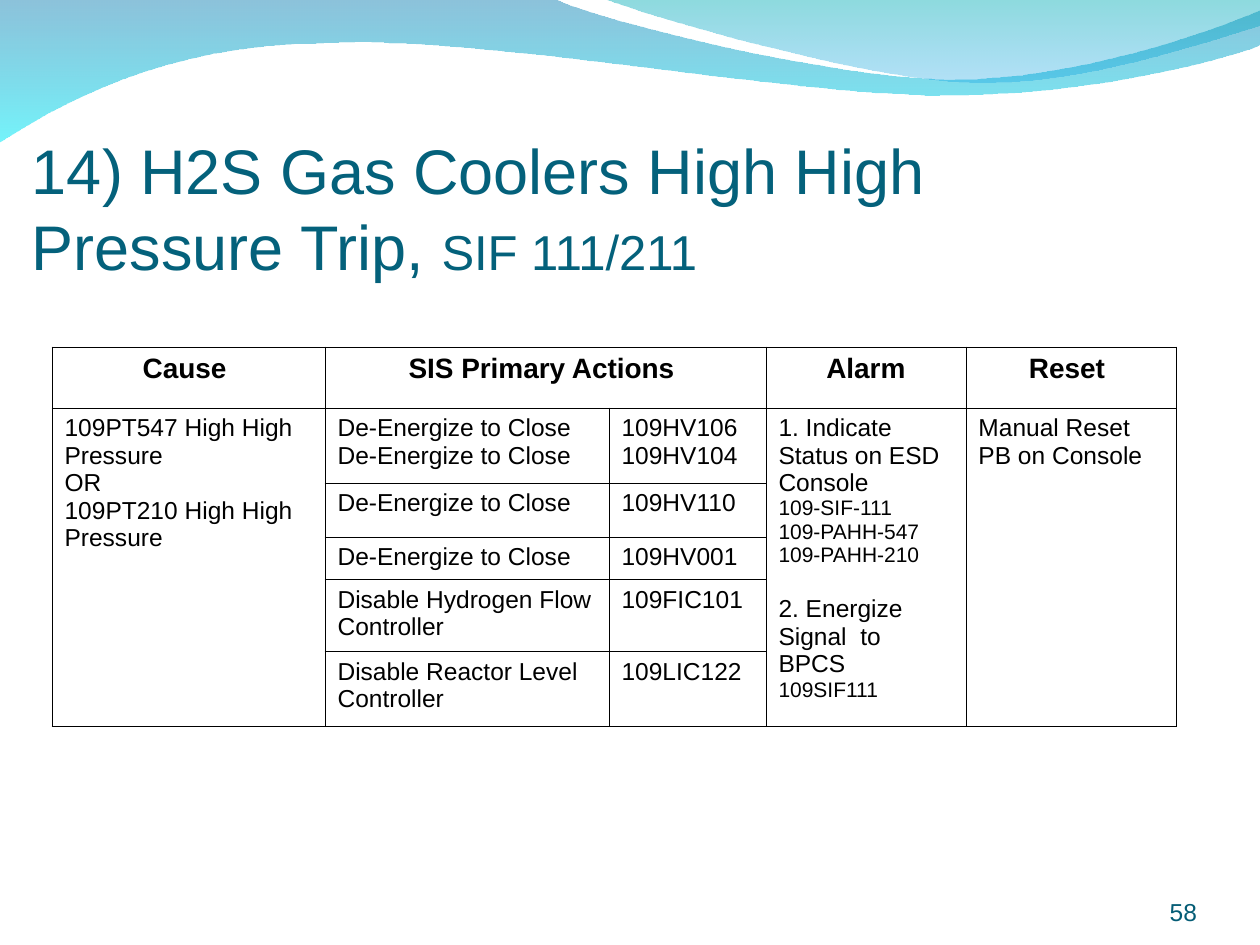
from lxml.etree import SubElement
from pptx import Presentation
from pptx.dml.color import RGBColor
from pptx.enum.text import MSO_ANCHOR, PP_ALIGN
from pptx.oxml.ns import qn
from pptx.util import Pt

EMU_PER_PX = 914400 / 126
TABLE_COLUMNS = [273, 284, 157, 200, 210]
TABLE_ROWS = [61, 75, 54, 43, 72, 75]
HEADERS = {0: "Cause ", 1: "SIS Primary Actions ", 3: "Alarm", 4: "Reset "}
CAUSES = ["109PT547 High High Pressure", "OR", "109PT210 High High Pressure"]
ACTIONS = [
    ("De-Energize to Close De-Energize to Close", ["109HV106", "109HV104"]),
    ("De-Energize to Close", ["109HV110"]),
    ("De-Energize to Close", ["109HV001"]),
    ("Disable Hydrogen Flow Controller", ["109FIC101"]),
    ("Disable Reactor Level Controller", ["109LIC122"]),
]
ALARMS = [
    ("1. Indicate Status on ESD Console", ["109-SIF-111", "109-PAHH-547", "109-PAHH-210"]),
    ("2. Energize Signal  to BPCS", ["109SIF111"]),
]
RESET = "Manual Reset PB on Console"

# Each wave is a start point, then lines (one point) and curves (three points).
LONG_WAVE = [
    [(0, -1)], [(554, -1)],
    [(600, 21), (837, 79), (955, 79)],
    [(1075, 79), (1207, 33), (1260, 11)],
    [(1261, 45)],
    [(1239, 55), (1096, 96), (940, 95)],
    [(784, 95), (481, 35), (324, 43)],
    [(163, 44), (58, 105), (-1, 142)],
]
RIGHT_WAVE = [
    [(604, -1)],
    [(641, 14), (859, 78), (969, 82)],
    [(1079, 87), (1211, 40), (1260, 26)],
    [(1260, 0)],
]


def px(length):
    return round(length * EMU_PER_PX)


def color(hex_string):
    return RGBColor.from_string(hex_string)


def bend_curves(wave, segments):
    """Turn the three lines of each curve segment into one cubic Bezier."""
    lines = iter(list(wave._element.iter(qn("a:lnTo"))))
    for segment in segments[1:]:
        sides = [next(lines) for _ in segment]
        if len(sides) == 3:
            curve = sides[0].makeelement(qn("a:cubicBezTo"), {})
            sides[0].addprevious(curve)
            for side in sides:
                curve.append(side[0])
                side.getparent().remove(side)


def add_wave(slide, segments, gradient):
    """Draw an outline filled from top to bottom with (hex, opacity %) stops."""
    points = [(px(x), px(y)) for segment in segments for x, y in segment]
    builder = slide.shapes.build_freeform(*points[0])
    builder.add_line_segments(points[1:], close=True)
    wave = builder.convert_to_shape()
    bend_curves(wave, segments)
    wave.shadow.inherit = False
    wave.line.fill.background()
    wave.fill.gradient()
    wave.fill.gradient_angle = 270
    for stop, position, (hex_string, _) in zip(wave.fill.gradient_stops, (0, 1), gradient):
        stop.position = position
        stop.color.rgb = color(hex_string)
    for tint, (_, opacity) in zip(wave._element.spPr.iter(qn("a:srgbClr")), gradient):
        SubElement(tint, qn("a:alpha"), val=str(opacity * 1000))


def style_run(run, size, hex_string, bold=False):
    run.font.name = "Arial"
    run.font.size = Pt(size)
    run.font.bold = bold
    run.font.color.rgb = color(hex_string)


def add_text(slide, box, runs, hex_string, align=PP_ALIGN.LEFT, top_inset=0):
    """Add one bottom-anchored paragraph made of (text, size) runs."""
    frame = slide.shapes.add_textbox(*map(px, box)).text_frame
    frame.word_wrap = True
    frame.vertical_anchor = MSO_ANCHOR.BOTTOM
    frame.margin_left = frame.margin_right = frame.margin_bottom = 0
    frame.margin_top = px(top_inset)
    paragraph = frame.paragraphs[0]
    paragraph.alignment = align
    for text, size in runs:
        run = paragraph.add_run()
        run.text = text
        style_run(run, size, hex_string)


def fill_cell(cell, lines, size=14, bold=False, align=PP_ALIGN.LEFT):
    cell.text_frame.text = "\n".join(lines)
    for paragraph in cell.text_frame.paragraphs:
        paragraph.alignment = align
        style_run(paragraph.runs[0], size, "000000", bold)


def fill_alarm_cell(cell):
    """Write each alarm with its tags in smaller type below it."""
    fill_cell(cell, [line for alarm, tags in ALARMS for line in (alarm, *tags)])
    paragraphs = iter(cell.text_frame.paragraphs)
    for index, (_, tags) in enumerate(ALARMS):
        heading = next(paragraphs)
        if index:
            heading.space_before = Pt(16)
        for _ in tags:
            next(paragraphs).runs[0].font.size = Pt(12)


def outline_cell(cell):
    cell.fill.background()
    properties = cell._tc.get_or_add_tcPr()
    for index, side in enumerate(("a:lnL", "a:lnR", "a:lnT", "a:lnB")):
        border = properties.makeelement(qn(side), {"w": str(Pt(0.45))})
        solid = SubElement(border, qn("a:solidFill"))
        SubElement(solid, qn("a:srgbClr"), val="000000")
        properties.insert(index, border)


def add_trip_table(slide):
    table = slide.shapes.add_table(
        len(TABLE_ROWS), len(TABLE_COLUMNS), px(52), px(347),
        px(sum(TABLE_COLUMNS)), px(sum(TABLE_ROWS))).table
    table.first_row = table.horz_banding = False
    for column, width in zip(table.columns, TABLE_COLUMNS):
        column.width = px(width)
    for row, height in zip(table.rows, TABLE_ROWS):
        row.height = px(height)
    for cell in table.iter_cells():
        outline_cell(cell)

    table.cell(0, 1).merge(table.cell(0, 2))
    for column in (0, 3, 4):
        table.cell(1, column).merge(table.cell(len(ACTIONS), column))

    for column, header in HEADERS.items():
        fill_cell(table.cell(0, column), [header], 16, True, PP_ALIGN.CENTER)
    fill_cell(table.cell(1, 0), CAUSES)
    for row, (action, tags) in enumerate(ACTIONS, start=1):
        fill_cell(table.cell(row, 1), [action])
        fill_cell(table.cell(row, 2), tags)
    fill_alarm_cell(table.cell(1, 3))
    fill_cell(table.cell(1, 4), [RESET])


def main():
    presentation = Presentation()
    presentation.slide_width = px(1260)
    presentation.slide_height = px(945)
    slide = presentation.slides.add_slide(presentation.slide_layouts[6])
    add_wave(slide, LONG_WAVE, [("0079AF", 45), ("00EBF8", 55)])
    add_wave(slide, RIGHT_WAVE, [("00ADB6", 45), ("009BE5", 30)])
    add_text(slide, (32, 126, 1134, 157),
             [("14) H2S Gas Coolers High High Pressure Trip, ", 36), ("SIF 111/211", 28)],
             "04617B", top_inset=6)
    add_trip_table(slide)
    add_text(slide, (1092, 876, 105, 50), [("58", 14)], "045C75", PP_ALIGN.RIGHT)
    presentation.save("out.pptx")


if __name__ == "__main__":
    main()
